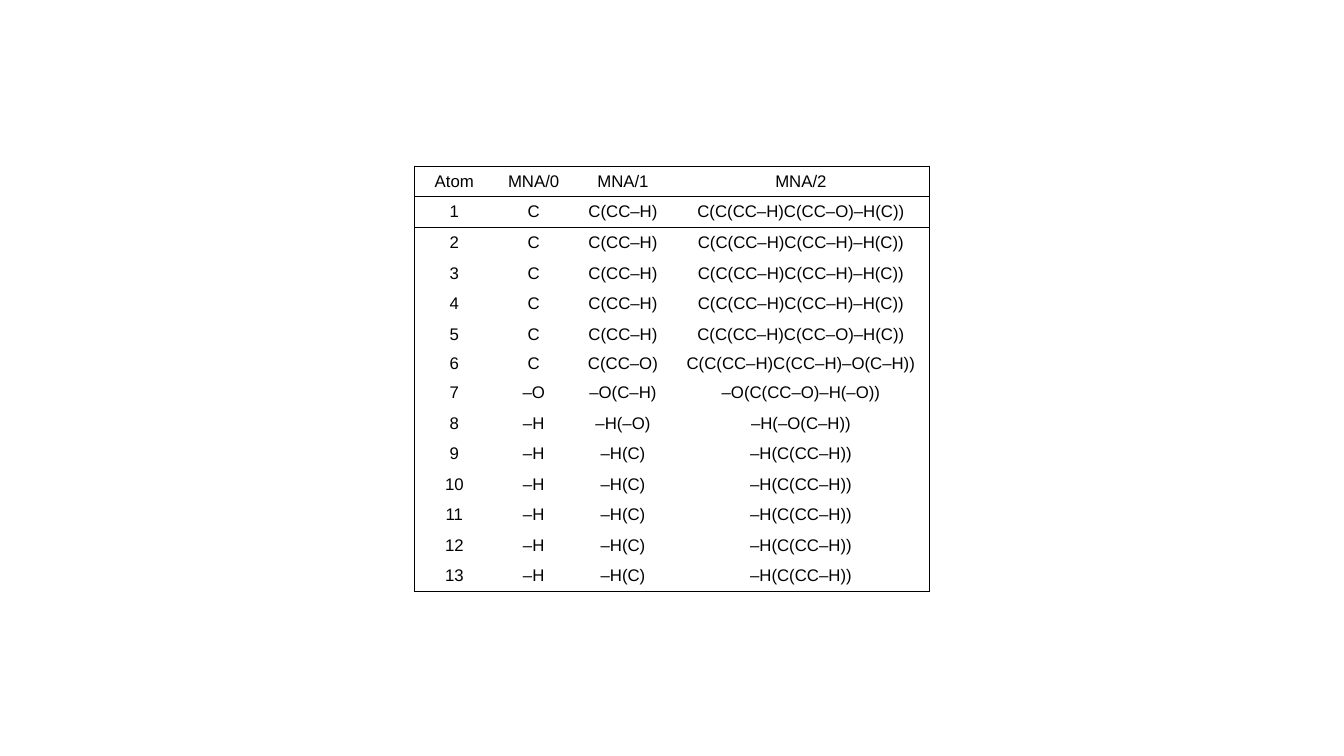
from lxml.etree import SubElement
from pptx import Presentation
from pptx.dml.color import RGBColor
from pptx.enum.text import MSO_ANCHOR, PP_ALIGN
from pptx.oxml.ns import qn
from pptx.util import Cm, Pt

HEADER = ("Atom", "MNA/0", "MNA/1", "MNA/2")
DESCRIPTORS = [
    ("C", "C(CC–H)", "C(C(CC–H)C(CC–O)–H(C))"),
    *[("C", "C(CC–H)", "C(C(CC–H)C(CC–H)–H(C))")] * 3,
    ("C", "C(CC–H)", "C(C(CC–H)C(CC–O)–H(C))"),
    ("C", "C(CC–O)", "C(C(CC–H)C(CC–H)–O(C–H))"),
    ("–O", "–O(C–H)", "–O(C(CC–O)–H(–O))"),
    ("–H", "–H(–O)", "–H(–O(C–H))"),
    *[("–H", "–H(C)", "–H(C(CC–H))")] * 5,
]
ROWS = [HEADER] + [(str(atom), *codes) for atom, codes in enumerate(DESCRIPTORS, 1)]

COLORS = {"text": "000000", "border": "000000"}
FONT, FONT_SIZE = "Arial", Pt(12)
LEFT, TOP = Cm(10.45), Cm(4.19)
COL_WIDTHS = [Cm(w) for w in (2, 2, 2.5, 6.47)]
ROW_HEIGHTS = [Cm(0.77)] * len(ROWS)
ROW_HEIGHTS[6] = Cm(0.7)
NO_STYLE = "{2D5ABB26-0587-4C30-8999-92F81FD0307C}"


def add_borders(cell, sides):
    """Draw 1 pt lines on the given sides, listed in the order L, R, T, B."""
    for side in sides:
        ln = SubElement(cell._tc.get_or_add_tcPr(), qn(f"a:ln{side}"), w=str(Pt(1)))
        fill = SubElement(ln, qn("a:solidFill"))
        SubElement(fill, qn("a:srgbClr"), val=COLORS["border"])


def border_sides(row, col):
    """Return the sides that frame the table and rule off its header."""
    rules = {
        "L": col == 0,
        "R": col == len(HEADER) - 1,
        "T": row in (0, 1),
        "B": row in (0, len(ROWS) - 1),
    }
    return [side for side, drawn in rules.items() if drawn]


def fill_cell(cell, text):
    """Write centred text into a cell without a fill."""
    cell.fill.background()
    cell.vertical_anchor = MSO_ANCHOR.MIDDLE
    cell.margin_top = cell.margin_bottom = Cm(0.05)
    cell.text = text
    p = cell.text_frame.paragraphs[0]
    p.alignment = PP_ALIGN.CENTER
    p.font.name, p.font.size = FONT, FONT_SIZE
    p.font.color.rgb = RGBColor.from_string(COLORS["text"])


def add_descriptor_table(slide):
    """Add the table of atoms and their MNA descriptors."""
    frame = slide.shapes.add_table(len(ROWS), len(HEADER), LEFT, TOP,
                                   sum(COL_WIDTHS), sum(ROW_HEIGHTS))
    table = frame.table
    table.first_row = table.horz_banding = False
    table._tbl.tblPr.find(qn("a:tableStyleId")).text = NO_STYLE
    for column, width in zip(table.columns, COL_WIDTHS):
        column.width = width
    for row, height in zip(table.rows, ROW_HEIGHTS):
        row.height = height
    for r, texts in enumerate(ROWS):
        for c, text in enumerate(texts):
            cell = table.cell(r, c)
            add_borders(cell, border_sides(r, c))
            fill_cell(cell, text)


prs = Presentation()
prs.slide_width, prs.slide_height = Cm(33.87), Cm(19.05)
add_descriptor_table(prs.slides.add_slide(prs.slide_layouts[6]))
prs.save("out.pptx")
